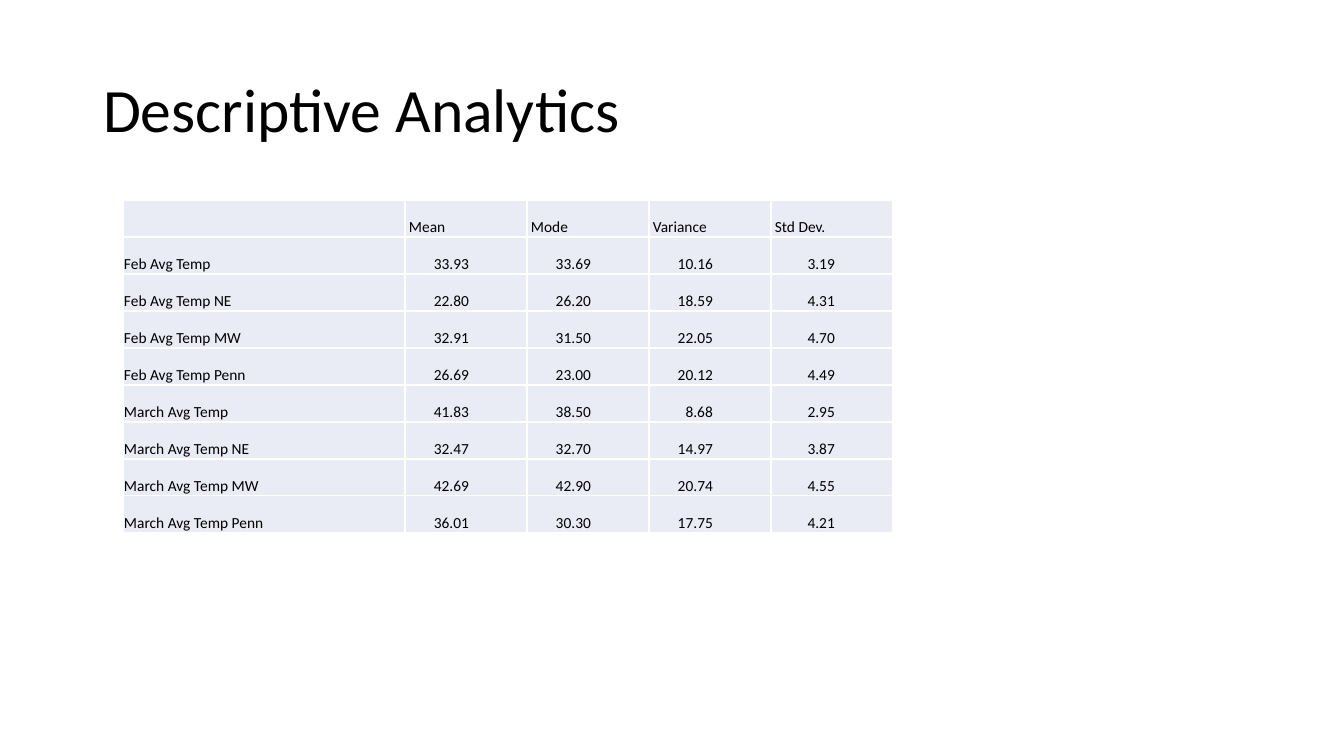
from lxml import etree
from pptx import Presentation
from pptx import util as u
from pptx.dml.color import RGBColor
from pptx.enum import text
from pptx.oxml import ns

EMU_PER_PX = 914400 / 100.8
BLACK = RGBColor(0x00, 0x00, 0x00)
WHITE = RGBColor(0xFF, 0xFF, 0xFF)
PALE_BLUE = RGBColor(0xE9, 0xEB, 0xF5)

HEADINGS = ["", "Mean", "Mode", "Variance", "Std Dev."]
STATISTICS = [
    ["Feb Avg Temp", "33.93", "33.69", "10.16", "3.19"],
    ["Feb Avg Temp NE", "22.80", "26.20", "18.59", "4.31"],
    ["Feb Avg Temp MW", "32.91", "31.50", "22.05", "4.70"],
    ["Feb Avg Temp Penn", "26.69", "23.00", "20.12", "4.49"],
    ["March Avg Temp", "41.83", "38.50", "8.68", "2.95"],
    ["March Avg Temp NE", "32.47", "32.70", "14.97", "3.87"],
    ["March Avg Temp MW", "42.69", "42.90", "20.74", "4.55"],
    ["March Avg Temp Penn", "36.01", "30.30", "17.75", "4.21"],
]
COLUMN_WIDTHS = [282, 122, 122, 122, 122]
ROW_HEIGHT = 37


def px(length):
    return u.Emu(round(length * EMU_PER_PX))


def apply(target, values):
    for name, value in values.items():
        setattr(target, name, value)


class SlideBuilder:
    font_name = "Calibri"

    def __init__(self, deck):
        self.page = deck.slides.add_slide(deck.slide_layouts[5])

    def add_span(self, para, words, size, align):
        para.alignment = align
        span = para.add_run()
        span.text = words
        apply(span.font, {"name": self.font_name, "size": u.Pt(size), "bold": False})
        span.font.color.rgb = BLACK

    def title(self, words, left, top, width, height):
        box = self.page.shapes.title
        apply(box, {"left": px(left), "top": px(top),
                    "width": px(width), "height": px(height)})
        frame = box.text_frame
        apply(frame, {"word_wrap": True, "auto_size": text.MSO_AUTO_SIZE.NONE,
                      "vertical_anchor": text.MSO_ANCHOR.MIDDLE})
        frame.paragraphs[0].line_spacing = 0.9
        self.add_span(frame.paragraphs[0], words, 44, text.PP_ALIGN.LEFT)

    def table(self, rows, left, top, widths, row_height):
        frame = self.page.shapes.add_table(
            len(rows), len(widths), px(left), px(top),
            px(sum(widths)), px(row_height * len(rows)))
        table = frame.table
        apply(table, {"first_row": False, "horz_banding": False})
        for column, width in zip(table.columns, widths):
            column.width = px(width)
        for row_index, row in enumerate(rows):
            table.rows[row_index].height = px(row_height)
            for column_index, words in enumerate(row):
                self.cell(table.cell(row_index, column_index), words,
                          is_heading=row_index == 0, is_label=column_index == 0)

    def cell(self, cell, words, is_heading, is_label):
        """Numbers align right, inset from the column's right edge."""
        is_number = not (is_heading or is_label)
        apply(cell, {
            "margin_left": px(4 if is_heading else 1),
            "margin_right": px(58 if is_number else 1),
            "margin_top": px(1), "margin_bottom": 0,
            "vertical_anchor": text.MSO_ANCHOR.BOTTOM})
        cell.fill.solid()
        cell.fill.fore_color.rgb = PALE_BLUE
        self.borders(cell)
        if words:
            align = text.PP_ALIGN.RIGHT if is_number else text.PP_ALIGN.LEFT
            self.add_span(cell.text_frame.paragraphs[0], words, 11, align)

    def borders(self, cell):
        properties = cell._tc.get_or_add_tcPr()
        for index, side in enumerate(["lnL", "lnR", "lnT", "lnB"]):
            line = etree.Element(ns.qn(f"a:{side}"), w=str(u.Pt(1)))
            fill = etree.SubElement(line, ns.qn("a:solidFill"))
            etree.SubElement(fill, ns.qn("a:srgbClr"), val=str(WHITE))
            properties.insert(index, line)


def main():
    deck = Presentation()
    apply(deck, {"slide_width": px(1344), "slide_height": px(756)})
    slide = SlideBuilder(deck)
    slide.title("Descriptive Analytics", 93, 40, 1159, 146)
    slide.table([HEADINGS] + STATISTICS, 123, 200, COLUMN_WIDTHS, ROW_HEIGHT)
    deck.save("out.pptx")


if __name__ == "__main__":
    main()
